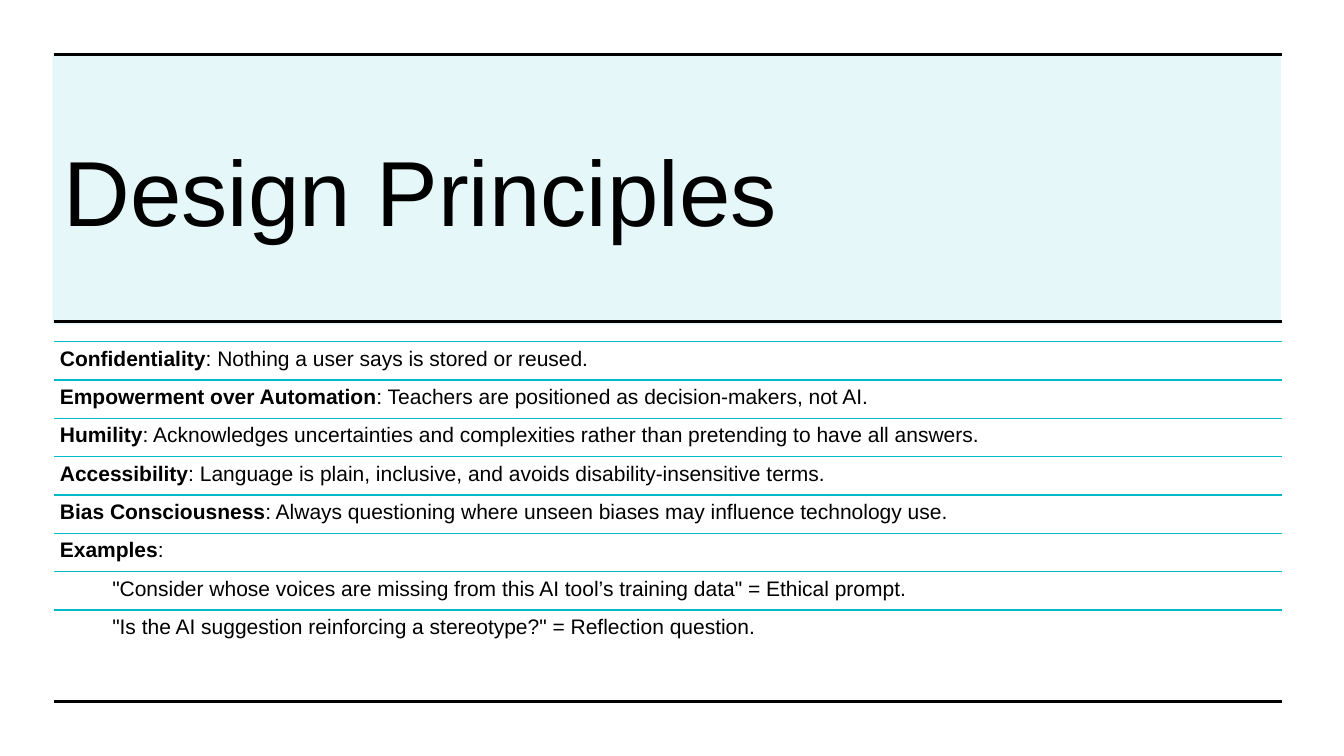
"""Build the Design Principles slide."""
from dataclasses import dataclass

from lxml import etree
from pptx import Presentation
from pptx.dml.color import RGBColor
from pptx.enum import shapes, text
from pptx.oxml import ns
from pptx.slide import Slide
from pptx.text.text import TextFrame
from pptx.util import Cm, Pt

BLACK = RGBColor(0x00, 0x00, 0x00)
TEAL = RGBColor(0x00, 0xBA, 0xC8)
FONT = "Arial"
LEFT, WIDTH = 1.35, 30.96
LIST_TOP, LIST_BOTTOM = 8.61, 16.34
PADDING, INDENT = 0.16, 1.32
HEAVY_RULES = (1.37, 8.1, 17.68)


@dataclass(frozen=True)
class Principle:
    """One row of the list."""
    name: str
    detail: str
    indented: bool = False


PRINCIPLES = (
    Principle("Confidentiality", ": Nothing a user says is stored or reused."),
    Principle("Empowerment over Automation",
              ": Teachers are positioned as decision-makers, not AI."),
    Principle("Humility", ": Acknowledges uncertainties and complexities "
              "rather than pretending to have all answers."),
    Principle("Accessibility", ": Language is plain, inclusive, and avoids "
              "disability-insensitive terms."),
    Principle("Bias Consciousness", ": Always questioning where unseen biases "
              "may influence technology use."),
    Principle("Examples", ":"),
    Principle("", "\"Consider whose voices are missing from this AI tool’s "
              "training data\" = Ethical prompt.", True),
    Principle("", "\"Is the AI suggestion reinforcing a stereotype?\" "
              "= Reflection question.", True),
)


def add_rule(page: Slide, top: float, color: RGBColor, weight: float) -> None:
    """Draw a full-width horizontal line."""
    rule = page.shapes.add_connector(
        shapes.MSO_CONNECTOR.STRAIGHT, Cm(LEFT), Cm(top), Cm(LEFT + WIDTH), Cm(top))
    rule.line.color.rgb = color
    rule.line.width = Pt(weight)
    etree.SubElement(rule._element.spPr, ns.qn("a:effectLst"))


def add_text_frame(page: Slide, top: float, width: float, height: float,
                   size: float) -> TextFrame:
    """Add a wrapping text box with its font set."""
    box = page.shapes.add_textbox(Cm(LEFT), Cm(top), Cm(width), Cm(height))
    frame = box.text_frame
    frame.word_wrap = True
    font = frame.paragraphs[0].font
    font.name, font.size = FONT, Pt(size)
    font.color.rgb = BLACK
    return frame


def add_title(page: Slide) -> None:
    """Draw the tinted band and the title."""
    band = page.shapes.add_shape(
        shapes.MSO_SHAPE.RECTANGLE, Cm(1.32), Cm(1.35), Cm(WIDTH), Cm(6.83))
    band.shadow.inherit = False
    band.line.fill.background()
    band.fill.solid()
    band.fill.fore_color.rgb = TEAL
    tint = band._element.spPr.find(".//" + ns.qn("a:srgbClr"))
    etree.SubElement(tint, ns.qn("a:alpha"), val="10000")
    frame = add_text_frame(page, 2.72, 28.78, 4.14, 66)
    frame.vertical_anchor = text.MSO_ANCHOR.MIDDLE
    para = frame.paragraphs[0]
    para.space_after = Pt(6)
    para.add_run().text = "Design Principles"


def add_principle(page: Slide, principle: Principle, top: float, height: float) -> None:
    """Draw one row under its thin line."""
    add_rule(page, top, TEAL, 1)
    frame = add_text_frame(page, top, WIDTH, height, 15)
    frame.margin_left = Cm(PADDING + INDENT * principle.indented)
    frame.margin_top = frame.margin_right = frame.margin_bottom = Cm(PADDING)
    para = frame.paragraphs[0]
    para.line_spacing = 0.9
    if principle.name:
        span = para.add_run()
        span.text = principle.name
        span.font.bold = True
    para.add_run().text = principle.detail


def main() -> None:
    """Build and save the deck."""
    deck = Presentation()
    deck.slide_width, deck.slide_height = Cm(33.87), Cm(19.05)
    page = deck.slides.add_slide(deck.slide_layouts[6])
    add_title(page)
    for top in HEAVY_RULES:
        add_rule(page, top, BLACK, 2.25)
    pitch = (LIST_BOTTOM - LIST_TOP) / len(PRINCIPLES)
    for index, principle in enumerate(PRINCIPLES):
        add_principle(page, principle, LIST_TOP + index * pitch, pitch)
    deck.save("out.pptx")


if __name__ == "__main__":
    main()
